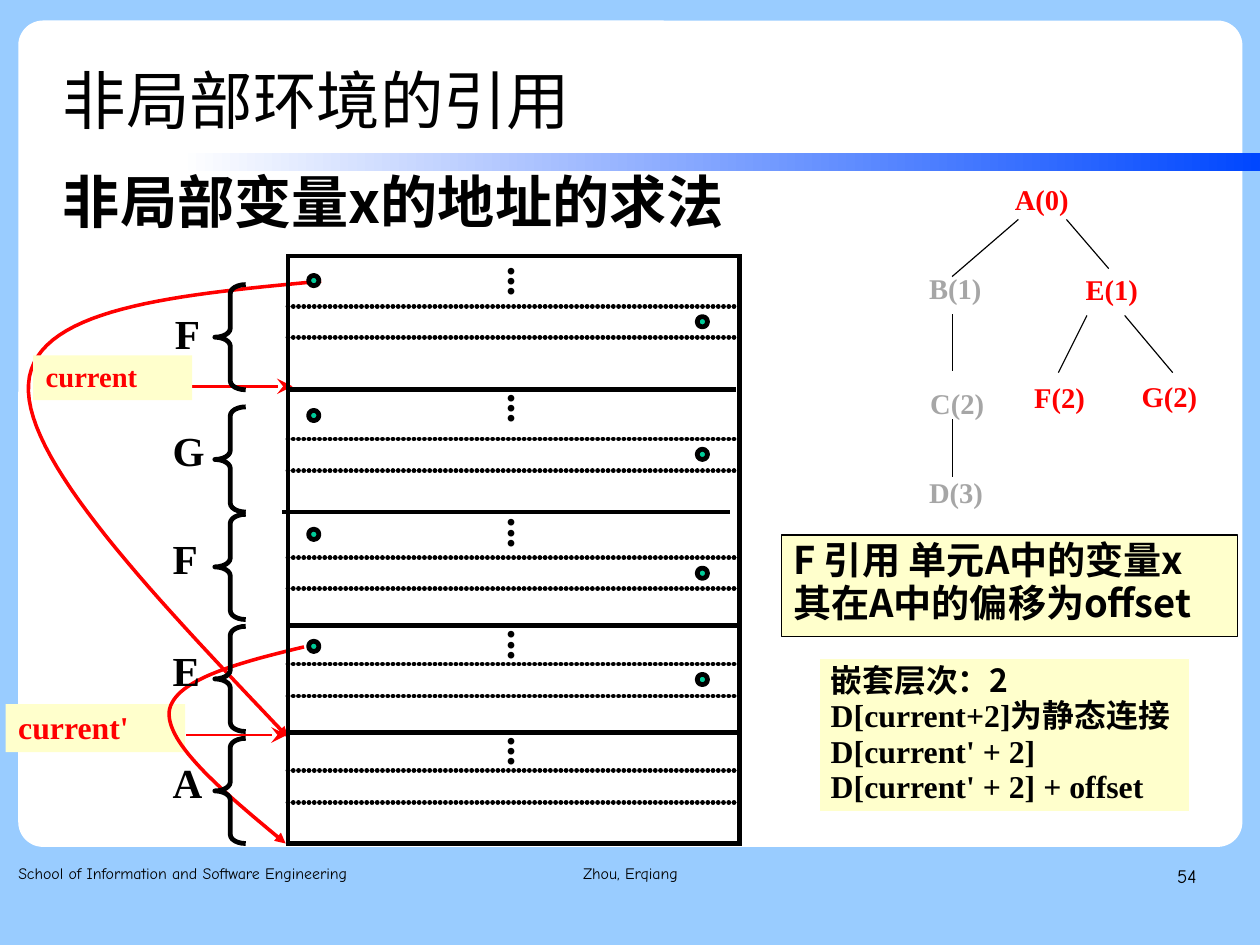
from dataclasses import dataclass

from lxml.etree import SubElement
from pptx import Presentation
from pptx.dml.color import RGBColor
from pptx.enum.shapes import MSO_CONNECTOR, MSO_SHAPE
from pptx.enum.text import MSO_ANCHOR, MSO_AUTO_SIZE, PP_ALIGN
from pptx.oxml.ns import qn
from pptx.util import Cm, Inches, Pt

BLACK = RGBColor(0x00, 0x00, 0x00)
WHITE = RGBColor(0xFF, 0xFF, 0xFF)
RED = RGBColor(0xFF, 0x00, 0x00)
GREY = RGBColor(0xA6, 0xA6, 0xA6)
GREEN = RGBColor(0x00, 0xCC, 0x99)
CREAM = RGBColor(0xFF, 0xFF, 0xCC)
SKY = RGBColor(0x99, 0xCC, 0xFF)
BLUE = RGBColor(0x00, 0x47, 0xFF)
SERIF, SANS, COMIC = "Times New Roman", "Noto Sans CJK SC", "Comic Neue"


@dataclass
class Style:
    size: float
    color: RGBColor = BLACK
    font: str = SERIF
    bold: bool = True
    spacing: float = 0.93
    align: PP_ALIGN = PP_ALIGN.LEFT


@dataclass
class StackFrame:
    label: str
    label_left: float
    label_top: float
    brace_top: float
    dots_top: float
    dotted: tuple[float, float]
    right: float
    bottom: float
    link_top: float | None
    value_top: float | None


@dataclass
class TreeNode:
    text: str
    left: float
    top: float
    width: float
    color: RGBColor


STACK = [
    StackFrame("F", 1.42, 2.68, 2.49, 2.22, (2.68, 2.95), 6.44, 3.41, 2.41, 2.77),
    StackFrame("G", 1.40, 3.70, 3.56, 3.33, (3.84, 4.12), 6.44, 4.48, 3.59, 3.93),
    StackFrame("F", 1.40, 4.64, 4.50, 4.42, (4.88, 5.15), 6.47, 5.47, 4.63, 4.97),
    StackFrame("E", 1.40, 5.62, 5.48, 5.40, (5.81, 6.09), 6.47, 6.41, 5.61, 5.90),
    StackFrame("A", 1.40, 6.60, 6.46, 6.33, (6.74, 7.02), 6.47, 7.38, None, None),
]
TREE = [
    TreeNode("A(0)", 8.78, 1.57, 0.67, RED),
    TreeNode("B(1)", 8.03, 2.35, 0.66, GREY),
    TreeNode("C(2)", 8.04, 3.35, 0.67, GREY),
    TreeNode("D(3)", 8.03, 4.13, 0.67, GREY),
    TreeNode("E(1)", 9.40, 2.36, 0.66, RED),
    TreeNode("F(2)", 8.95, 3.30, 0.67, RED),
    TreeNode("G(2)", 9.89, 3.29, 0.71, RED),
]
BRANCHES = [
    (8.91, 1.92, 8.33, 2.42), (9.33, 1.92, 9.70, 2.35), (8.33, 2.75, 8.33, 3.25),
    (8.33, 3.67, 8.33, 4.17), (9.51, 2.76, 9.26, 3.26), (9.84, 2.76, 10.26, 3.26),
]

presentation = Presentation()
presentation.slide_width, presentation.slide_height = Cm(28), Cm(21)
slide = presentation.slides.add_slide(presentation.slide_layouts[1])
slide.background.fill.solid()
slide.background.fill.fore_color.rgb = SKY


def format_text(text_frame, style: Style, insets=(0, 0), wrap=True, grow=False) -> None:
    text_frame.word_wrap = wrap
    text_frame.auto_size = MSO_AUTO_SIZE.SHAPE_TO_FIT_TEXT if grow else MSO_AUTO_SIZE.NONE
    text_frame.vertical_anchor = MSO_ANCHOR.TOP
    text_frame.margin_left = text_frame.margin_right = Inches(insets[0])
    text_frame.margin_top = text_frame.margin_bottom = Inches(insets[1])
    for paragraph in text_frame.paragraphs:
        paragraph.alignment, paragraph.line_spacing = style.align, style.spacing
        paragraph.space_before = Pt(0)
        for run in paragraph.runs:
            run.font.size, run.font.bold = Pt(style.size), style.bold
            run.font.color.rgb = style.color
            set_font(run, style.font)


def set_font(run, name: str) -> None:
    run.font.name = name
    SubElement(run.font._element, qn("a:ea")).set("typeface", name)


def place(shape, left: float, top: float, width: float, height: float) -> None:
    shape.left, shape.top = Inches(left), Inches(top)
    shape.width, shape.height = Inches(width), Inches(height)


def add_text(text: str, box: tuple, style: Style, **layout):
    shape = slide.shapes.add_textbox(*map(Inches, box))
    shape.text_frame.text = text
    format_text(shape.text_frame, style, **layout)
    return shape


def add_preset(kind, box: tuple, fill=None, line=None, width: float = 0.75):
    shape = slide.shapes.add_shape(kind, *map(Inches, box))
    style_outline(shape, fill, line, width)
    return shape


def style_outline(shape, fill, line, width: float) -> None:
    shape.shadow.inherit = False
    if fill is None:
        shape.fill.background()
    else:
        shape.fill.solid()
        shape.fill.fore_color.rgb = fill
    if line is None:
        shape.line.fill.background()
    else:
        shape.line.color.rgb, shape.line.width = line, Pt(width)


def add_line(ends: tuple, color: RGBColor, width: float):
    line = slide.shapes.add_connector(MSO_CONNECTOR.STRAIGHT, *map(Inches, ends))
    line.line.color.rgb, line.line.width = color, Pt(width)
    SubElement(line._element.spPr, qn("a:effectLst"))
    return line


def add_line_detail(shape, tag: str, **attributes: str):
    detail = SubElement(shape.line._get_or_add_ln(), qn(tag))
    for key, value in attributes.items():
        detail.set(key, value)
    return detail


def add_curve(*beziers: tuple, steps: int = 30) -> None:
    """Draw chained cubic curves, each given by four points, with an arrowhead."""
    points = []
    for a, b, c, d in beziers:
        for step in range(steps + 1):
            t = step / steps
            weights = ((1 - t) ** 3, 3 * t * (1 - t) ** 2, 3 * t * t * (1 - t), t ** 3)
            points.append(tuple(
                Inches(sum(w * p[axis] for w, p in zip(weights, (a, b, c, d)))) for axis in (0, 1)))
    builder = slide.shapes.build_freeform(*points[0])
    builder.add_line_segments(points[1:], close=False)
    curve = builder.convert_to_shape()
    style_outline(curve, None, RED, 2.25)
    add_line_detail(curve, "a:tailEnd", type="triangle")


# White panel and gradient rule, behind the placeholders
panel = add_preset(MSO_SHAPE.ROUNDED_RECTANGLE, (0.16, 0.18, 10.71, 7.23), WHITE)
panel.adjustments[0] = 0.03
rule = add_preset(MSO_SHAPE.RECTANGLE, (1.57, 1.34, 9.45, 0.16))
rule.fill.gradient()
rule.fill.gradient_angle = 0
for stop, color in zip(rule.fill.gradient_stops, (WHITE, BLUE)):
    stop.color.rgb = color

# Title and subtitle
title, body = slide.shapes.title, slide.placeholders[1]
for placeholder in (body, title):
    placeholder._element.getparent().append(placeholder._element)
place(title, 0.55, 0.33, 8.58, 1.01)
title.text_frame.text = "非局部环境的引用"
format_text(title.text_frame, Style(40, font="Arial", bold=False, spacing=1.1))
title.text_frame.vertical_anchor = MSO_ANCHOR.MIDDLE
place(body, 0.55, 1.48, 10.18, 5.21)
body.text_frame.text = "非局部变量x的地址的求法"
properties = body.text_frame.paragraphs[0]._p.get_or_add_pPr()
properties.set("marL", "0")
properties.set("indent", "0")
SubElement(properties, qn("a:buNone"))
format_text(body.text_frame, Style(36, font=SANS, spacing=0.95))
body.text_frame.margin_top = Inches(0.02)

# Footer
for text, left, width, size, align in (
        ("School of Information and Software Engineering", 0.16, 3.38, 10, PP_ALIGN.LEFT),
        ("Zhou, Erqiang", 3.77, 3.49, 10, PP_ALIGN.CENTER),
        ("54", 7.9, 2.57, 12, PP_ALIGN.RIGHT)):
    add_text(text, (left, 7.53, width, 0.57), Style(size, BLACK, COMIC, False, 1.16, align))

# Nesting tree
for branch in BRANCHES:
    add_line(branch, BLACK, 0.75)
for node in TREE:
    add_text(node.text, (node.left, node.top, node.width, 0.38), Style(18, node.color),
             insets=(0.1, 0.05), wrap=False, grow=True)

# Notes on the reference
question = add_preset(MSO_SHAPE.RECTANGLE, (6.84, 4.68, 3.99, 0.89), CREAM, BLACK)
question.text_frame.text = "F 引用 单元A中的变量x\n其在A中的偏移为offset"
format_text(question.text_frame, Style(24, font=SANS), (0.1, 0.05))
answer = add_preset(MSO_SHAPE.RECTANGLE, (7.17, 5.76, 3.24, 1.34), CREAM, WHITE)
answer.text_frame.text = "嵌套层次：2\nD[current+2]\nD[current' + 2]\nD[current' + 2] + offset"
answer.text_frame.paragraphs[1].add_run().text = "为静态连接"
format_text(answer.text_frame, Style(20), (0.1, 0.05), wrap=False, grow=True)
for paragraph in answer.text_frame.paragraphs[:2]:
    chinese_run = paragraph.runs[-1]
    chinese_run.font._element.remove(chinese_run.font._element.find(qn("a:ea")))
    set_font(chinese_run, SANS)

# Static links and pointers
add_curve(((2.81, 2.46), (1.55, 2.58), (0.29, 2.69), (0.25, 3.36)),
          ((0.25, 3.36), (0.2, 4.02), (1.36, 5.23), (2.52, 6.45)))
for text, box, size, arrow in (
        ("current", (0.29, 3.11, 1.39, 0.39), 18, (1.68, 3.38, 2.56, 3.38)),
        ("current'", (0.05, 6.16, 1.57, 0.42), 20, (1.63, 6.43, 2.51, 6.43))):
    add_line_detail(add_line(arrow, RED, 1.75), "a:tailEnd", type="stealth", w="lg", len="lg")
    pointer = add_preset(MSO_SHAPE.RECTANGLE, box, CREAM)
    pointer.text_frame.text = text
    format_text(pointer.text_frame, Style(size, RED), (0.11, 0.06), grow=True)
add_curve(((2.66, 5.66), (2.08, 5.8), (1.51, 5.95), (1.48, 6.23)),
          ((1.48, 6.23), (1.46, 6.52), (1.98, 6.95), (2.5, 7.38)))

# Run-time stack
stack_border = add_preset(MSO_SHAPE.RECTANGLE, (2.52, 2.24, 3.95, 5.14), None, BLACK, 3)
add_line_detail(stack_border, "a:miter", lim="800000")
for frame in STACK:
    for y in frame.dotted:
        dotted_line = add_line((2.52, y, frame.right, y), BLACK, 3)
        dotted_line.line._get_or_add_ln().set("cap", "rnd")
        dash = SubElement(add_line_detail(dotted_line, "a:custDash"), qn("a:ds"))
        dash.set("d", "100000")
        dash.set("sp", "10000")
    if frame is not STACK[-1]:
        shift = -0.05 if frame.label == "G" else 0
        add_line((2.52 + shift, frame.bottom, frame.right + shift, frame.bottom), BLACK, 3)
    brace = add_preset(MSO_SHAPE.LEFT_BRACE, (1.88, frame.brace_top, 0.27, 0.92), None, BLACK, 3)
    brace.adjustments[0] = 0.29
    add_text(frame.label, (frame.label_left, frame.label_top, 0.47, 0.51), Style(26),
             insets=(0.11, 0.06), wrap=False, grow=True)
    dots = add_text("...", (4.21, frame.dots_top, 0.62, 0.38), Style(26),
                    insets=(0.06, 0.11), wrap=False, grow=True)
    dots.text_frame._txBody.bodyPr.set("vert", "eaVert")
    for left, top in ((2.7, frame.link_top), (6.1, frame.value_top)):
        if top is not None:
            add_preset(MSO_SHAPE.OVAL, (left, top, 0.09, 0.09), GREEN, BLACK, 3)

presentation.save("out.pptx")
